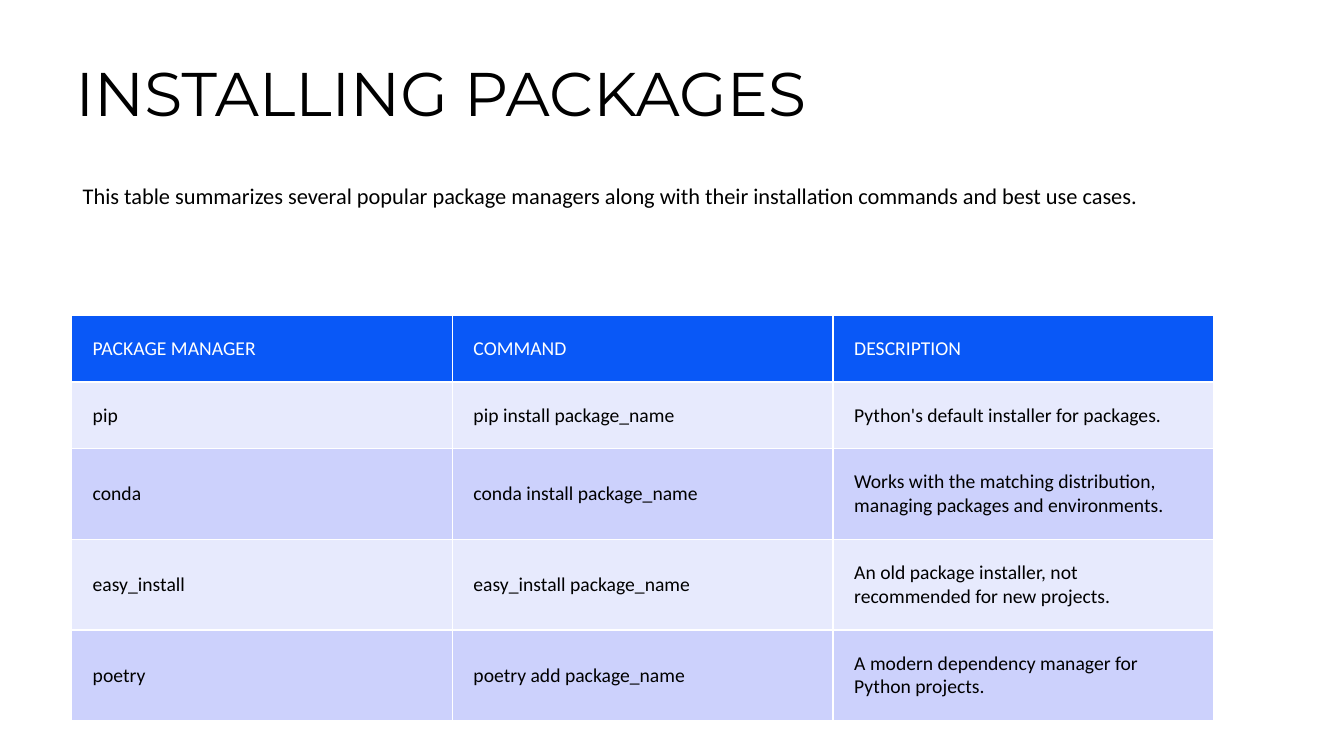
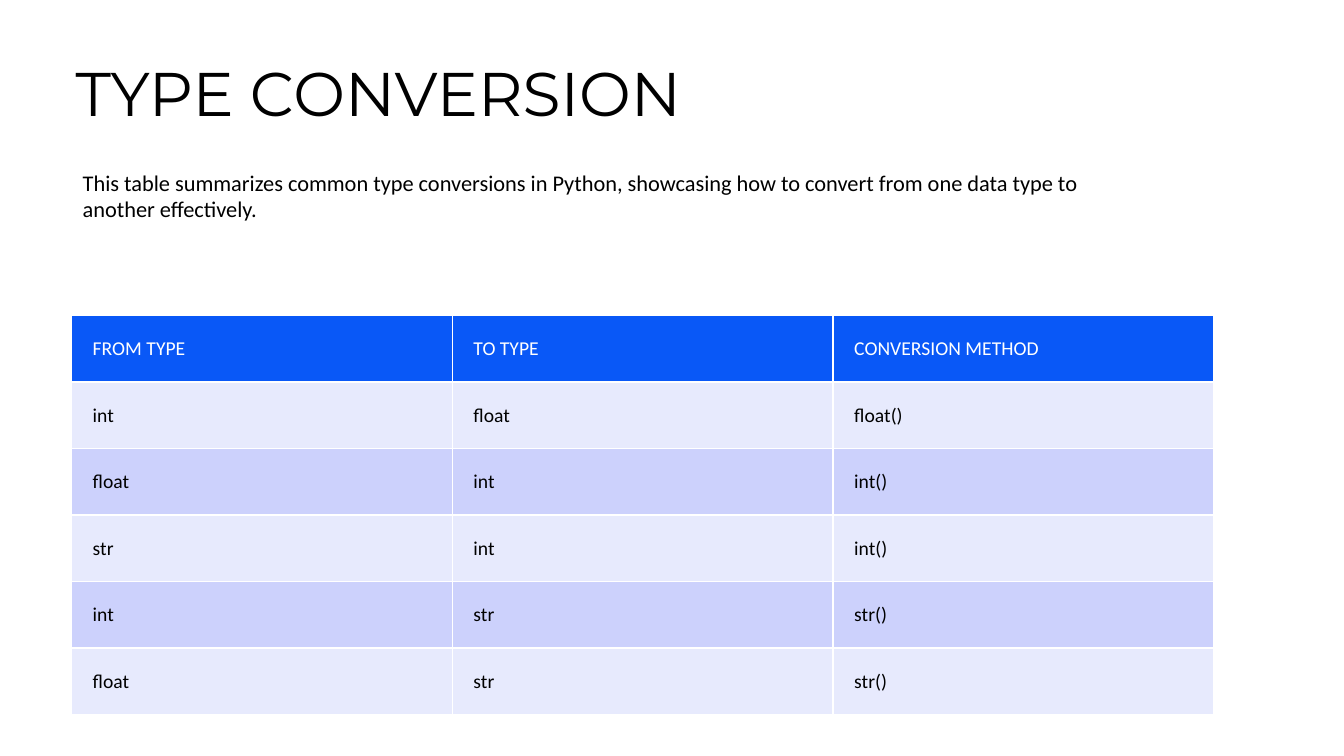
from lxml import etree
from pptx import Presentation
from pptx.dml.color import RGBColor
from pptx.enum.text import MSO_ANCHOR, MSO_AUTO_SIZE, PP_ALIGN
from pptx.oxml.ns import qn
from pptx.util import Inches, Pt

COLORS = {"text": "000000", "white": "FFFFFF", "header": "0958F7",
          "light": "E7EAFD", "dark": "CCD1FC"}
TITLE = {"name": "Montserrat", "size": Pt(44), "bold": False}
BODY = {"name": "Calibri", "size": Pt(16), "bold": False}
CELL = {"name": "Calibri", "size": Pt(14), "bold": False}
PLACEHOLDERS = [  # format, box, anchor
    (TITLE, (0.65, 0.49, 11.33, 0.76), MSO_ANCHOR.TOP),
    (BODY, (0.72, 1.58, 10.76, 0.72), MSO_ANCHOR.MIDDLE),
]
TABLE_BOX = (0.71, 3.13, 11.33)
ONE_LINE, TWO_LINES = 0.66, 0.9
MARGIN = Inches(0.21)

SLIDES = [
    {"texts": ["INSTALLING PACKAGES",
               "This table summarizes several popular package managers along with "
               "their installation commands and best use cases."],
     "heights": [ONE_LINE] * 2 + [TWO_LINES] * 3,
     "rows": [
         ("PACKAGE MANAGER", "COMMAND", "DESCRIPTION"),
         ("pip", "pip install package_name",
          "Python's default installer for packages."),
         ("conda", "conda install package_name",
          "Works with the matching distribution, managing packages and environments."),
         ("easy_install", "easy_install package_name",
          "An old package installer, not recommended for new projects."),
         ("poetry", "poetry add package_name",
          "A modern dependency manager for Python projects."),
     ]},
    {"texts": ["TYPE CONVERSION",
               "This table summarizes common type conversions in Python, showcasing "
               "how to convert from one data type to another effectively."],
     "heights": [ONE_LINE] * 6,
     "rows": [
         ("FROM TYPE", "TO TYPE", "CONVERSION METHOD"),
         ("int", "float", "float()"),
         ("float", "int", "int()"),
         ("str", "int", "int()"),
         ("int", "str", "str()"),
         ("float", "str", "str()"),
     ]},
]


def style(font, values, color):
    for name, value in values.items():
        setattr(font, name, value)
    font.color.rgb = RGBColor.from_string(COLORS[color])


def add_borders(cell):
    """Draw a white 1 pt line on every side; call before setting the fill."""
    tc_pr = cell._tc.get_or_add_tcPr()
    for side in ("lnL", "lnR", "lnT", "lnB"):
        ln = etree.SubElement(tc_pr, qn(f"a:{side}"), w=str(Pt(1)))
        fill = etree.SubElement(ln, qn("a:solidFill"))
        etree.SubElement(fill, qn("a:srgbClr"), val=COLORS["white"])


prs = Presentation()
prs.slide_width, prs.slide_height = Inches(13.33), Inches(7.5)

for content in SLIDES:
    s = prs.slides.add_slide(prs.slide_layouts[1])

    for sp, text, (font, box, anchor) in zip(s.placeholders, content["texts"], PLACEHOLDERS):
        sp.left, sp.top, sp.width, sp.height = map(Inches, box)
        tf = sp.text_frame
        tf.text = text
        tf.word_wrap = True
        tf.auto_size = MSO_AUTO_SIZE.NONE
        tf.vertical_anchor = anchor
        p = tf.paragraphs[0]
        p.alignment = PP_ALIGN.LEFT
        p.space_before = Pt(0)
        p_pr = p._p.get_or_add_pPr()
        p_pr.set("marL", "0")
        p_pr.set("indent", "0")
        etree.SubElement(p_pr, qn("a:buNone"))
        style(p.runs[0].font, font, "text")

    rows, heights = content["rows"], content["heights"]
    left, top, width = map(Inches, TABLE_BOX)
    table = s.shapes.add_table(len(rows), len(rows[0]), left, top, width,
                               Inches(sum(heights))).table
    table.horz_banding = False
    for i, (row, height) in enumerate(zip(rows, heights)):
        table.rows[i].height = Inches(height)
        fill = "header" if i == 0 else "light" if i % 2 else "dark"
        for j, text in enumerate(row):
            cell = table.cell(i, j)
            cell.text = text
            cell.vertical_anchor = MSO_ANCHOR.MIDDLE
            for side in ("left", "right", "top", "bottom"):
                setattr(cell, f"margin_{side}", MARGIN)
            add_borders(cell)
            cell.fill.solid()
            cell.fill.fore_color.rgb = RGBColor.from_string(COLORS[fill])
            style(cell.text_frame.paragraphs[0].runs[0].font, CELL,
                  "white" if i == 0 else "text")

prs.save("out.pptx")
